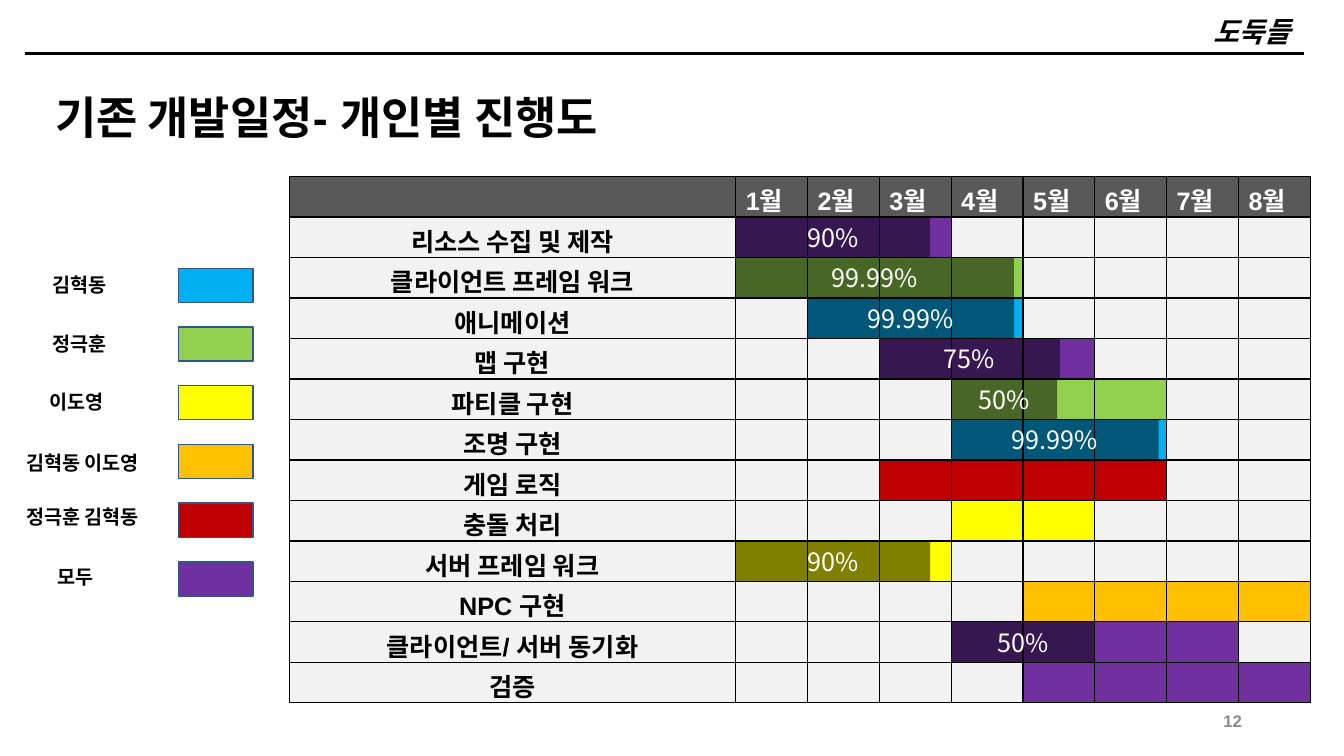
from lxml import etree
from pptx import Presentation
from pptx.dml.color import RGBColor
from pptx.enum.shapes import MSO_CONNECTOR, MSO_SHAPE
from pptx.enum.text import MSO_ANCHOR, MSO_AUTO_SIZE, PP_ALIGN
from pptx.oxml import parse_xml
from pptx.oxml.ns import nsdecls, qn
from pptx.util import Cm, Pt

RECTANGLE = MSO_SHAPE.RECTANGLE
STRAIGHT = MSO_CONNECTOR.STRAIGHT
LEFT, CENTER, RIGHT, JUSTIFY = PP_ALIGN.LEFT, PP_ALIGN.CENTER, PP_ALIGN.RIGHT, PP_ALIGN.JUSTIFY
MIDDLE, BOTTOM = MSO_ANCHOR.MIDDLE, MSO_ANCHOR.BOTTOM
NO_AUTOFIT = MSO_AUTO_SIZE.NONE

BLACK = RGBColor(0x00, 0x00, 0x00)
WHITE = RGBColor(0xFF, 0xFF, 0xFF)
NUMBER_GRAY = RGBColor(0x8C, 0x8C, 0x8C)
HEADER_GRAY = RGBColor(0x59, 0x59, 0x59)
CELL_GRAY = RGBColor(0xF2, 0xF2, 0xF2)
OUTLINE_BLUE = RGBColor(0x32, 0x54, 0x91)
BLUE = RGBColor(0x00, 0xB0, 0xF0)
GREEN = RGBColor(0x92, 0xD0, 0x50)
YELLOW = RGBColor(0xFF, 0xFF, 0x00)
ORANGE = RGBColor(0xFF, 0xC0, 0x00)
RED = RGBColor(0xC0, 0x00, 0x00)
PURPLE = RGBColor(0x70, 0x30, 0xA0)

LATIN_FONT = "Arial"
KOREAN_FONT = "Noto Sans CJK KR"

TABLE_LEFT, TABLE_TOP = 7.29, 4.45
TASK_WIDTH, MONTH_WIDTH, ROW_HEIGHT = 11.25, 1.81, 1.02
MONTHS = 8

TASKS = [
    ("리소스 수집 및 제작", PURPLE, 1, 3, "90%", 4.9),
    ("클라이언트 프레임 워크", GREEN, 1, 4, "99.99%", 7.01),
    ("애니메이션", BLUE, 2, 4, "99.99%", 5.21),
    ("맵 구현", PURPLE, 3, 5, "75%", 4.55),
    ("파티클 구현", GREEN, 4, 6, "50%", 2.67),
    ("조명 구현", BLUE, 4, 6, "99.99%", 5.23),
    ("게임 로직", RED, 3, 6, None, 0),
    ("충돌 처리", YELLOW, 4, 5, None, 0),
    ("서버 프레임 워크", YELLOW, 1, 3, "90%", 4.9),
    ("NPC 구현", ORANGE, 5, 8, None, 0),
    ("클라이언트/ 서버 동기화", PURPLE, 4, 7, "50%", 3.61),
    ("검증", PURPLE, 5, 8, None, 0),
]

LEGEND = [
    ("김혁동", 1.07, 6.76, 2.01, BLUE),
    ("정극훈", 1.07, 8.23, 2.01, GREEN),
    ("이도영", 0.99, 9.7, 2.01, YELLOW),
    ("김혁동 이도영", 0.41, 11.25, 3.68, ORANGE),
    ("정극훈 김혁동", 0.41, 12.6, 3.68, RED),
    ("모두", 1.19, 14.1, 1.5, PURPLE),
]


def write_text(text_frame, text, size, color=BLACK, alignment=LEFT, bold=True, latin=LATIN_FONT):
    paragraph = text_frame.paragraphs[0]
    paragraph.alignment = alignment
    run = paragraph.add_run()
    run.text = text
    run.font.size = Pt(size)
    run.font.bold = bold
    run.font.color.rgb = color
    run.font.name = latin
    east_asian = etree.SubElement(run.font._element, qn("a:ea"))
    east_asian.set("typeface", KOREAN_FONT)
    return paragraph


def style_cell(cell, color):
    properties = cell._tc.get_or_add_tcPr()
    for side in ("lnL", "lnR", "lnT", "lnB"):
        properties.append(parse_xml(
            f'<a:{side} {nsdecls("a")} w="12700"><a:solidFill>'
            f'<a:srgbClr val="{BLACK}"/></a:solidFill></a:{side}>'))
    cell.fill.solid()
    cell.fill.fore_color.rgb = color


presentation = Presentation()
presentation.slide_width = Cm(33.87)
presentation.slide_height = Cm(19.05)
slide = presentation.slides.add_slide(presentation.slide_layouts[0])
shapes = slide.shapes
subtitle = slide.placeholders[1]._element
subtitle.getparent().remove(subtitle)

title = shapes.title
title.left, title.top, title.width, title.height = Cm(30.02), Cm(0.33), Cm(3.05), Cm(1.02)
title.text_frame.auto_size = NO_AUTOFIT
title.text_frame.vertical_anchor = BOTTOM
paragraph = write_text(title.text_frame, "도둑들", 20, alignment=CENTER)
paragraph.line_spacing = 0.9
paragraph.runs[0].font.italic = True

header_line = shapes.add_connector(STRAIGHT, Cm(0.63), Cm(1.35), Cm(32.87), Cm(1.35))
header_line.line.color.rgb = BLACK
header_line.line.width = Pt(1.75)
etree.SubElement(header_line._element.spPr, qn("a:effectLst"))

page_number = shapes.add_textbox(Cm(23.93), Cm(17.65), Cm(7.62), Cm(1.02))
page_number.text_frame.word_wrap = True
page_number.text_frame.vertical_anchor = MIDDLE
write_text(page_number.text_frame, "12", 12, NUMBER_GRAY, RIGHT)

heading = shapes.add_textbox(Cm(1.14), Cm(2.13), Cm(17.83), Cm(1.63))
heading.text_frame.word_wrap = True
write_text(heading.text_frame, "기존 개발일정- 개인별 진행도", 32, alignment=JUSTIFY)

schedule = shapes.add_table(
    len(TASKS) + 1, MONTHS + 1, Cm(TABLE_LEFT), Cm(TABLE_TOP),
    Cm(TASK_WIDTH + MONTHS * MONTH_WIDTH), Cm(ROW_HEIGHT * (len(TASKS) + 1))).table
for column in schedule.columns:
    column.width = Cm(MONTH_WIDTH)
schedule.columns[0].width = Cm(TASK_WIDTH)
for row in schedule.rows:
    row.height = Cm(ROW_HEIGHT)

style_cell(schedule.cell(0, 0), HEADER_GRAY)
for month in range(1, MONTHS + 1):
    cell = schedule.cell(0, month)
    style_cell(cell, HEADER_GRAY)
    write_text(cell.text_frame, f"{month}월", 18, WHITE)

for row_index, (task, color, first, last, progress, width) in enumerate(TASKS, start=1):
    task_cell = schedule.cell(row_index, 0)
    style_cell(task_cell, CELL_GRAY)
    write_text(task_cell.text_frame, task, 18, alignment=CENTER)
    for month in range(1, MONTHS + 1):
        style_cell(schedule.cell(row_index, month), color if first <= month <= last else CELL_GRAY)
    if progress:
        bar = shapes.add_shape(
            RECTANGLE, Cm(TABLE_LEFT + TASK_WIDTH + (first - 1) * MONTH_WIDTH),
            Cm(TABLE_TOP + row_index * ROW_HEIGHT), Cm(width), Cm(ROW_HEIGHT))
        bar.shadow.inherit = False
        bar.line.fill.background()
        bar.fill.solid()
        bar.fill.fore_color.rgb = BLACK
        fill_color = bar._element.spPr.find(qn("a:solidFill")).find(qn("a:srgbClr"))
        etree.SubElement(fill_color, qn("a:alpha")).set("val", "50000")
        bar.text_frame.vertical_anchor = MIDDLE
        write_text(bar.text_frame, progress, 18, WHITE, CENTER, False, KOREAN_FONT)

for index, (names, left, top, width, color) in enumerate(LEGEND):
    swatch = shapes.add_shape(RECTANGLE, Cm(4.5), Cm(6.76 + index * 1.48), Cm(1.88), Cm(0.86))
    swatch.shadow.inherit = False
    swatch.fill.solid()
    swatch.fill.fore_color.rgb = color
    swatch.line.color.rgb = OUTLINE_BLUE
    swatch.line.width = Pt(1)
    label = shapes.add_textbox(Cm(left), Cm(top), Cm(width), Cm(0.86))
    label.text_frame.word_wrap = False
    write_text(label.text_frame, names, 14)

presentation.save("out.pptx")
